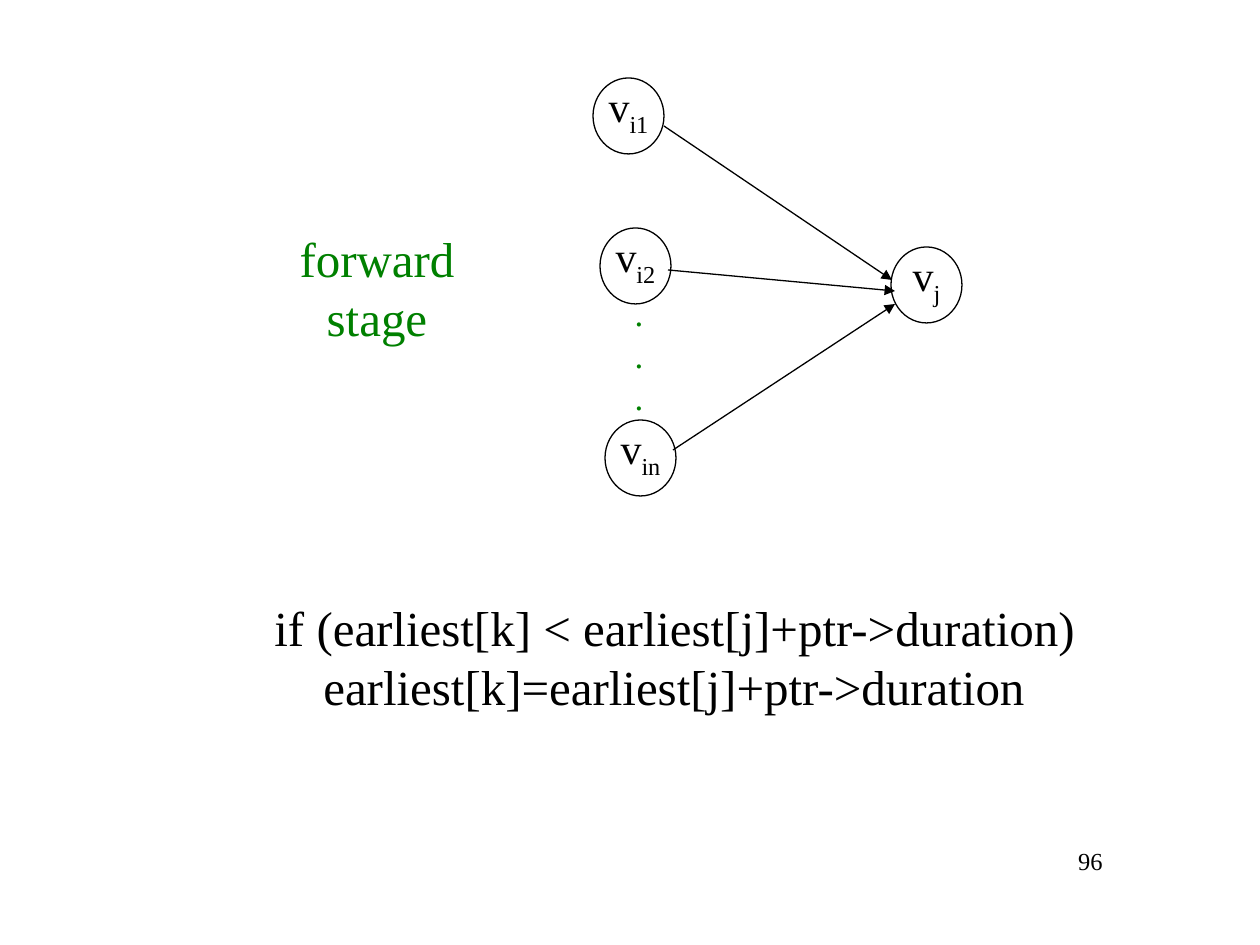
from lxml import etree
from pptx import Presentation
from pptx import util as u
from pptx.dml.color import RGBColor
from pptx.enum import shapes, text
from pptx.oxml.ns import qn

PX = 914400 / 126
FONT = "Times New Roman"
BLACK, GREEN = "000000", "008000"
NODE_WIDTH, NODE_HEIGHT = 71, 76


def px(*lengths):
    return [u.Emu(round(length * PX)) for length in lengths]


def color(value):
    return RGBColor.from_string(value)


def style_run(run, size, ink):
    run.font.name = FONT
    run.font.size = u.Pt(size)
    run.font.color.rgb = color(ink)


def add_text(slide, box, lines, size, ink=BLACK, align=text.PP_ALIGN.CENTER,
             anchor=text.MSO_ANCHOR.MIDDLE, wrap=False):
    frame = slide.shapes.add_textbox(*px(*box)).text_frame
    frame.word_wrap = wrap
    frame.vertical_anchor = anchor
    frame.text = "\n".join(lines)
    for paragraph in frame.paragraphs:
        paragraph.alignment = align
        for run in paragraph.runs:
            style_run(run, size, ink)
    return frame


def add_node(slide, left, top, subscript):
    circle = slide.shapes.add_shape(
        shapes.MSO_SHAPE.OVAL, *px(left, top, NODE_WIDTH, NODE_HEIGHT))
    circle.shadow.inherit = False
    circle.fill.background()
    circle.line.color.rgb = color(BLACK)
    circle.line.width = u.Pt(0.75)

    # The label sits slightly above the middle of its circle
    label = add_text(slide, (left + 3, top - 4, 65, 71), ["v"], 24)
    run = label.paragraphs[0].add_run()
    run.text = subscript
    style_run(run, 24, BLACK)
    run.font._element.set("baseline", "-25000")


def add_arrow(slide, start, end):
    arrow = slide.shapes.add_connector(
        shapes.MSO_CONNECTOR.STRAIGHT, *px(*start, *end))
    arrow.line.color.rgb = color(BLACK)
    arrow.line.width = u.Pt(0.75)
    etree.SubElement(arrow.line._get_or_add_ln(), qn("a:tailEnd"), type="triangle")
    etree.SubElement(arrow._element.spPr, qn("a:effectLst"))


def main():
    presentation = Presentation()
    presentation.slide_width, presentation.slide_height = px(1260, 945)
    slide = presentation.slides.add_slide(presentation.slide_layouts[6])

    # Page number
    add_text(slide, (853, 840, 262, 63), ["96"], 14, align=text.PP_ALIGN.RIGHT,
             anchor=text.MSO_ANCHOR.TOP, wrap=True)

    # Graph nodes and the dots between the second and the last predecessor
    for left, top, subscript in ((593, 78, "i1"), (600, 228, "i2"),
                                 (605, 420, "in"), (891, 247, "j")):
        add_node(slide, left, top, subscript)
    add_text(slide, (622, 285, 34, 139), ["."] * 3, 20, GREEN)

    # Edges into the successor
    for start, end in (((664, 126), (892, 280)), ((668, 270), (895, 291)),
                       ((673, 450), (895, 304))):
        add_arrow(slide, start, end)

    # Stage name and update rule
    add_text(slide, (231, 251, 292, 72), ["forward stage"], 28, GREEN)
    add_text(slide, (262, 591, 827, 131),
             ["if (earliest[k] < earliest[j]+ptr->duration)",
              "    earliest[k]=earliest[j]+ptr->duration"],
             28, align=text.PP_ALIGN.LEFT)

    presentation.save("out.pptx")


if __name__ == "__main__":
    main()
